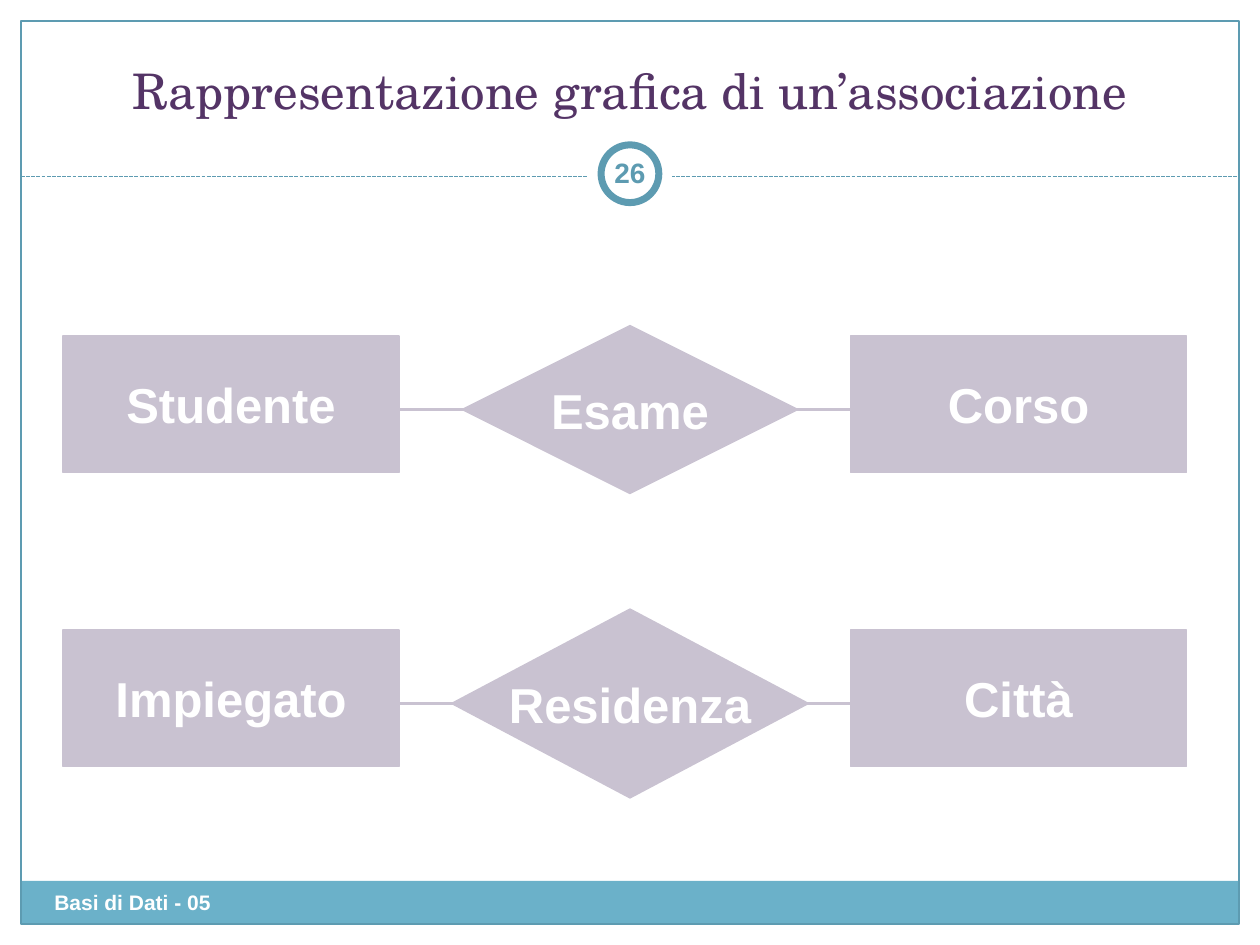
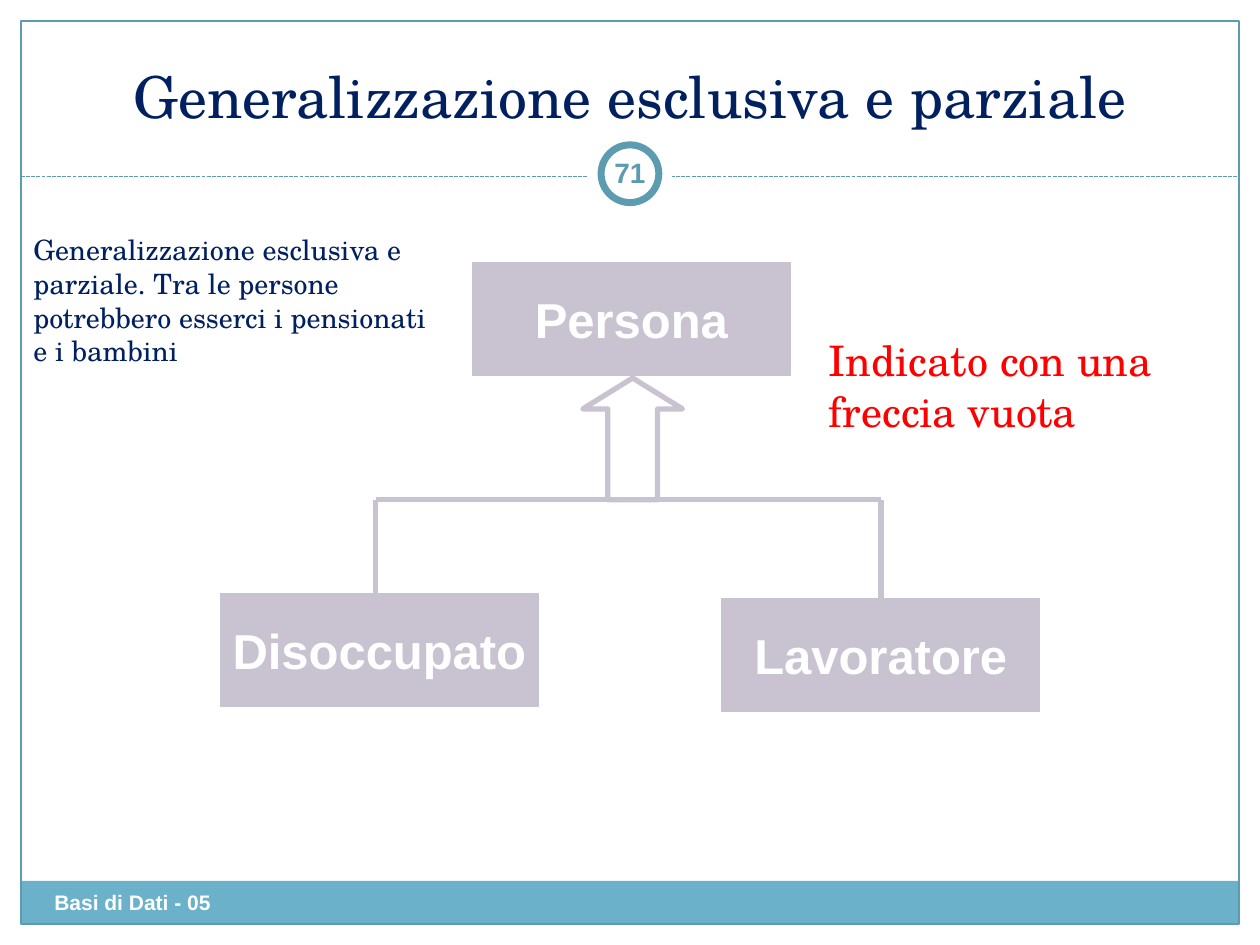
from typing import NamedTuple

from lxml.etree import SubElement
from pptx import Presentation
from pptx.dml.color import RGBColor
from pptx.enum.dml import MSO_LINE_DASH_STYLE as Dash
from pptx.enum.shapes import MSO_CONNECTOR as Conn, MSO_SHAPE as Form
from pptx.enum.text import MSO_ANCHOR as Anchor, MSO_AUTO_SIZE as Fit, PP_ALIGN as Align
from pptx.oxml.ns import qn
from pptx.util import Inches, Pt

HUES = {
    "white": "FFFFFF",
    "band": "6BB1C9",
    "rule": "5D9BB1",
    "node": "C9C2D1",
    "plum": "543466",
    "navy": "002060",
    "red": "FF0000",
}
SERIF, SANS = "TeX Gyre Schola", "Arial"
WIDE, HIGH = Inches(10), Inches(7.5)
COLS, ROWS = 120, 90


class Area(NamedTuple):
    col: float
    row: float
    cols: float
    rows: float


class Style(NamedTuple):
    font: str
    size: float
    hue: str
    bold: bool = False
    align: Align = Align.LEFT
    anchor: Anchor = Anchor.TOP


class Node(NamedTuple):
    text: str
    area: Area
    form: Form = Form.RECTANGLE


class Link(NamedTuple):
    col: float
    row: float
    end_col: float
    end_row: float


LABEL = Style(SANS, 28, "white", True, Align.CENTER, Anchor.MIDDLE)
FOOT = Style(SANS, 12, "white", True)
COUNT = Style(SANS, 16, "rule", True, Align.CENTER, Anchor.MIDDLE)
NOTE = Style(SERIF, 16, "navy")
HINT = Style(SERIF, 24, "red")


def across(col: float) -> int:
    return round(WIDE * col / COLS)


def down(row: float) -> int:
    return round(HIGH * row / ROWS)


def place(area: Area) -> tuple[int, int, int, int]:
    return across(area.col), down(area.row), across(area.cols), down(area.rows)


def tint(hue: str) -> RGBColor:
    return RGBColor.from_string(HUES[hue])


def write(shape, text: str, style: Style, wrap: bool = True) -> None:
    frame = shape.text_frame
    frame.text = text
    frame.word_wrap = wrap
    frame.auto_size = Fit.NONE
    frame.vertical_anchor = style.anchor
    for para in frame.paragraphs:
        para.alignment = style.align
        for run in para.runs:
            font = run.font
            font.name, font.size, font.bold = style.font, Pt(style.size), style.bold
            font.color.rgb = tint(style.hue)


def add_form(slide, form: Form, area: Area, fill: str = "", line: str = "", width: float = 0.75):
    shape = slide.shapes.add_shape(form, *place(area))
    shape.shadow.inherit = False
    if fill:
        shape.fill.solid()
        shape.fill.fore_color.rgb = tint(fill)
    else:
        shape.fill.background()
    if line:
        shape.line.color.rgb = tint(line)
        shape.line.width = Pt(width)
    else:
        shape.line.fill.background()
    return shape


def add_text(slide, text: str, area: Area, style: Style):
    box = slide.shapes.add_textbox(*place(area))
    write(box, text, style)
    return box


def add_link(slide, link: Link, hue: str, width: float):
    line = slide.shapes.add_connector(
        Conn.STRAIGHT, across(link.col), down(link.row), across(link.end_col), down(link.end_row)
    )
    line.line.color.rgb = tint(hue)
    line.line.width = Pt(width)
    SubElement(line._element.spPr, qn("a:effectLst"))
    return line


def add_node(slide, node: Node) -> None:
    write(add_form(slide, node.form, node.area, "node", "node"), node.text, LABEL, False)


def add_page(deck, title: str, row: float, size: float, hue: str, count: str):
    slide = deck.slides.add_slide(deck.slide_layouts[5])
    head = slide.shapes.title
    head.left, head.top, head.width, head.height = place(Area(4, row, 112, 10))
    write(head, title, Style(SERIF, size, hue, False, Align.CENTER, Anchor.BOTTOM))
    add_form(slide, Form.RECTANGLE, Area(2, 83.9, 116, 4.1), "band")
    add_form(slide, Form.RECTANGLE, Area(2, 2, 116, 86), line="rule")
    add_link(slide, Link(2, 16.8, 118, 16.8), "rule", 0.75).line.dash_style = Dash.SQUARE_DOT
    add_form(slide, Form.OVAL, Area(56, 12.6, 8, 8), "white")
    add_form(slide, Form.OVAL, Area(57.25, 13.8, 5.5, 5.5), "white", "rule", 4)
    add_text(slide, "Basi di Dati - 05", Area(4, 84.1, 47, 4.8), FOOT)
    badge = add_text(slide, count, Area(57, 13.5, 6, 5.8), COUNT).text_frame
    badge.margin_left = badge.margin_right = Inches(0.05)
    return slide


def add_bond(slide, row: float, names: tuple[str, str, str], cols: float, rows: float) -> None:
    left, bond, right = names
    mid = row + 7
    add_link(slide, Link(34, mid, 83, mid), "node", 2.25)
    add_node(slide, Node(bond, Area((COLS - cols) / 2, mid - rows / 2, cols, rows), Form.DIAMOND))
    for name, col in ((left, 6), (right, 81)):
        add_node(slide, Node(name, Area(col, row, 32, 13)))


def add_bonds(deck) -> None:
    slide = add_page(deck, "Rappresentazione grafica di un’associazione", 2, 28, "plum", "26")
    add_bond(slide, 32, ("Studente", "Esame", "Corso"), 32, 16)
    add_bond(slide, 60, ("Impiegato", "Residenza", "Città"), 34, 18)


def add_tree(deck) -> None:
    slide = add_page(deck, "Generalizzazione esclusiva e parziale", 3, 33, "navy", "71")
    for name, col, row in (
        ("Disoccupato", 21, 56.5),
        ("Lavoratore", 68.75, 57),
        ("Persona", 45, 25),
    ):
        add_node(slide, Node(name, Area(col, row, 30.25, 10.8)))
    west, east, top, base = 35.8, 83.9, 47.6, 58.3
    for link in (
        Link(west, top, west, base),
        Link(east, top, east, base),
        Link(west, top, east, top),
    ):
        add_link(slide, link, "node", 3)
    arrow = add_form(slide, Form.UP_ARROW, Area(55.5, 36, 9.5, 11.6), "white", "node", 3)
    arrow.adjustments[0], arrow.adjustments[1] = 0.5, 0.31
    note = (
        "Generalizzazione esclusiva e\nparziale. Tra le persone\n"
        "potrebbero esserci i pensionati\ne i bambini"
    )
    add_text(slide, note, Area(2, 21.6, 42.2, 14), NOTE)
    add_text(slide, "Indicato con una\nfreccia vuota", Area(77.75, 31.3, 35.4, 10.8), HINT)


def main() -> None:
    deck = Presentation()
    deck.slide_width, deck.slide_height = WIDE, HIGH
    add_bonds(deck)
    add_tree(deck)
    deck.save("out.pptx")


if __name__ == "__main__":
    main()
